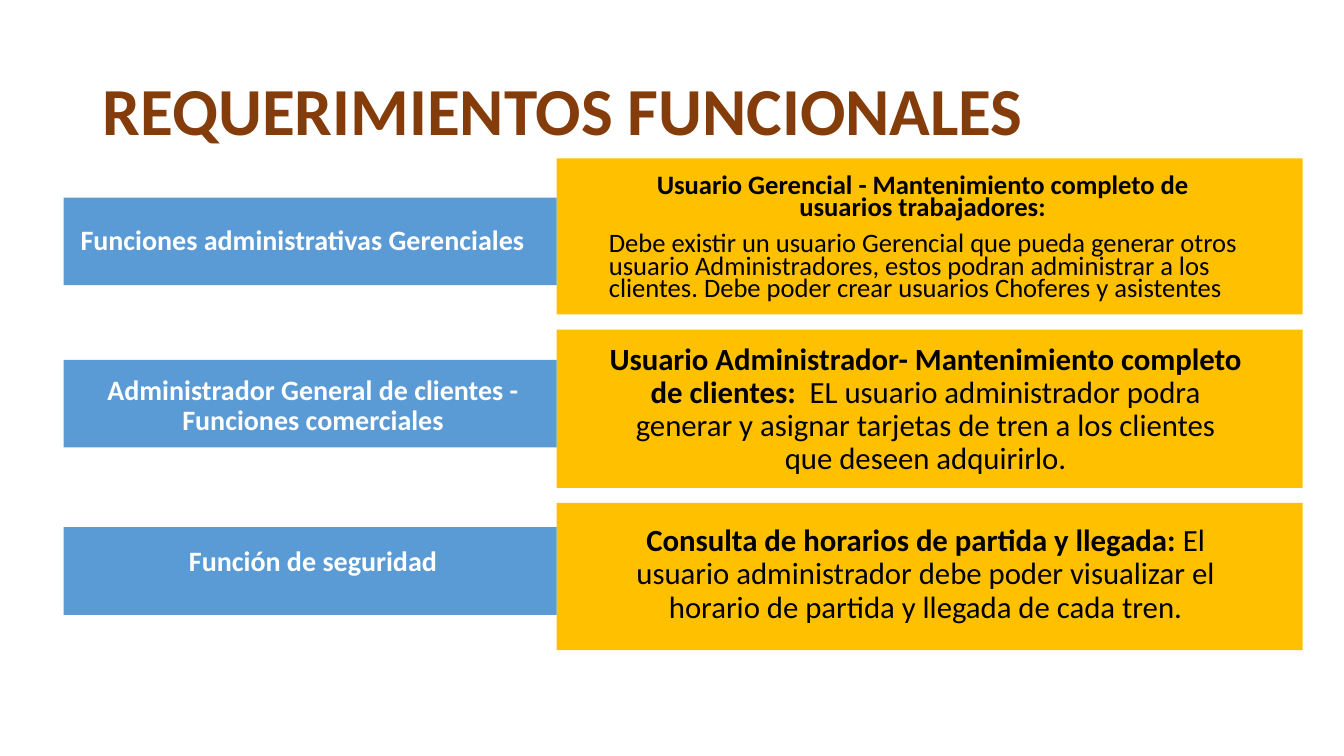
from dataclasses import dataclass

from pptx import Presentation
from pptx.dml.color import RGBColor
from pptx.enum import shapes, text
from pptx.util import Inches, Pt


@dataclass(frozen=True)
class Theme:
    font: str = "Calibri"
    title: RGBColor = RGBColor(0x84, 0x3C, 0x0B)
    label_fill: RGBColor = RGBColor(0x5B, 0x9B, 0xD5)
    label_text: RGBColor = RGBColor(0xFF, 0xFF, 0xFF)
    detail_fill: RGBColor = RGBColor(0xFF, 0xC0, 0x00)
    detail_text: RGBColor = RGBColor(0x00, 0x00, 0x00)
    title_size: int = 48
    label_size: int = 20
    detail_size: int = 22
    small_size: int = 19


THEME = Theme()
LEFT = text.PP_ALIGN.LEFT
CENTER = text.PP_ALIGN.CENTER
LABEL_LEFT, LABEL_WIDTH, LABEL_HEIGHT = 0.63, 4.89, 0.87
DETAIL_LEFT, DETAIL_WIDTH = 5.52, 7.4


@dataclass(frozen=True)
class Requirement:
    label: str
    label_top: float
    label_text_top: float
    detail: tuple
    detail_top: float
    detail_height: float
    detail_text_top: float
    detail_size: int = THEME.detail_size
    detail_spacing: float = 0.9
    label_align: text.PP_ALIGN = CENTER


REQUIREMENTS = [
    Requirement(
        "Funciones administrativas Gerenciales", 1.96, 2.2,
        (
            (CENTER, [("Usuario Gerencial - Mantenimiento completo de  usuarios trabajadores: ", True)]),
            (LEFT, [("Debe existir un usuario Gerencial que pueda generar otros usuario "
                     "Administradores, estos podran administrar a los clientes. "
                     "Debe poder crear usuarios Choferes y asistentes", False)]),
        ),
        1.57, 1.55, 1.7,
        detail_size=THEME.small_size, detail_spacing=0.7, label_align=LEFT,
    ),
    Requirement(
        "Administrador General de clientes - Funciones comerciales", 3.57, 3.68,
        (
            (CENTER, [("Usuario Administrador- Mantenimiento completo de clientes:  ", True),
                      ("EL usuario administrador podra generar y asignar tarjetas de tren "
                       "a los clientes que deseen adquirirlo.", False)]),
        ),
        3.27, 1.57, 3.36,
    ),
    Requirement(
        "Función de seguridad", 5.23, 5.38,
        (
            (CENTER, [("Consulta de horarios de partida y llegada: ", True),
                      ("El usuario administrador debe poder visualizar el horario de "
                       "partida y llegada de cada tren.", False)]),
        ),
        4.99, 1.46, 5.16,
    ),
]


def write_text(paragraph, content, *, size, color, bold=False, align=LEFT, spacing=0.9, before=10):
    paragraph.alignment = align
    paragraph.line_spacing = spacing
    paragraph.space_before = Pt(before)
    run = paragraph.add_run()
    run.text = content
    run.font.name = THEME.font
    run.font.size = Pt(size)
    run.font.bold = bold
    run.font.color.rgb = color


def add_block(slide, left, top, width, height, color):
    shape = slide.shapes.add_shape(
        shapes.MSO_SHAPE.RECTANGLE, Inches(left), Inches(top), Inches(width), Inches(height))
    shape.shadow.inherit = False
    shape.fill.solid()
    shape.fill.fore_color.rgb = color
    shape.line.fill.background()


def add_text_frame(slide, left, top, width, height):
    box = slide.shapes.add_textbox(Inches(left), Inches(top), Inches(width), Inches(height))
    box.text_frame.word_wrap = True
    return box.text_frame


def add_title(slide, content):
    title = slide.shapes.title
    title.left, title.top = Inches(0.92), Inches(0.4)
    title.width, title.height = Inches(11.5), Inches(1.45)
    frame = title.text_frame
    frame.auto_size = text.MSO_AUTO_SIZE.NONE
    frame.vertical_anchor = text.MSO_ANCHOR.MIDDLE
    write_text(frame.paragraphs[0], content, size=THEME.title_size,
               color=THEME.title, bold=True, before=0)


def add_label(slide, requirement):
    add_block(slide, LABEL_LEFT, requirement.label_top, LABEL_WIDTH, LABEL_HEIGHT, THEME.label_fill)
    frame = add_text_frame(slide, 0.7, requirement.label_text_top, 4.81, 0.43)
    write_text(frame.paragraphs[0], requirement.label, size=THEME.label_size,
               color=THEME.label_text, bold=True, align=requirement.label_align)


def add_detail(slide, requirement):
    add_block(slide, DETAIL_LEFT, requirement.detail_top, DETAIL_WIDTH,
              requirement.detail_height, THEME.detail_fill)
    frame = add_text_frame(slide, 5.94, requirement.detail_text_top, 6.48, 1.5)
    for index, (align, runs) in enumerate(requirement.detail):
        paragraph = frame.add_paragraph() if index else frame.paragraphs[0]
        for content, bold in runs:
            write_text(paragraph, content, size=requirement.detail_size, color=THEME.detail_text,
                       bold=bold, align=align, spacing=requirement.detail_spacing)


def main():
    presentation = Presentation()
    presentation.slide_width = Inches(13.33)
    presentation.slide_height = Inches(7.5)
    slide = presentation.slides.add_slide(presentation.slide_layouts.get_by_name("Title Only"))
    add_title(slide, "REQUERIMIENTOS FUNCIONALES")
    for requirement in REQUIREMENTS:
        add_detail(slide, requirement)
        add_label(slide, requirement)
    presentation.save("out.pptx")


if __name__ == "__main__":
    main()
